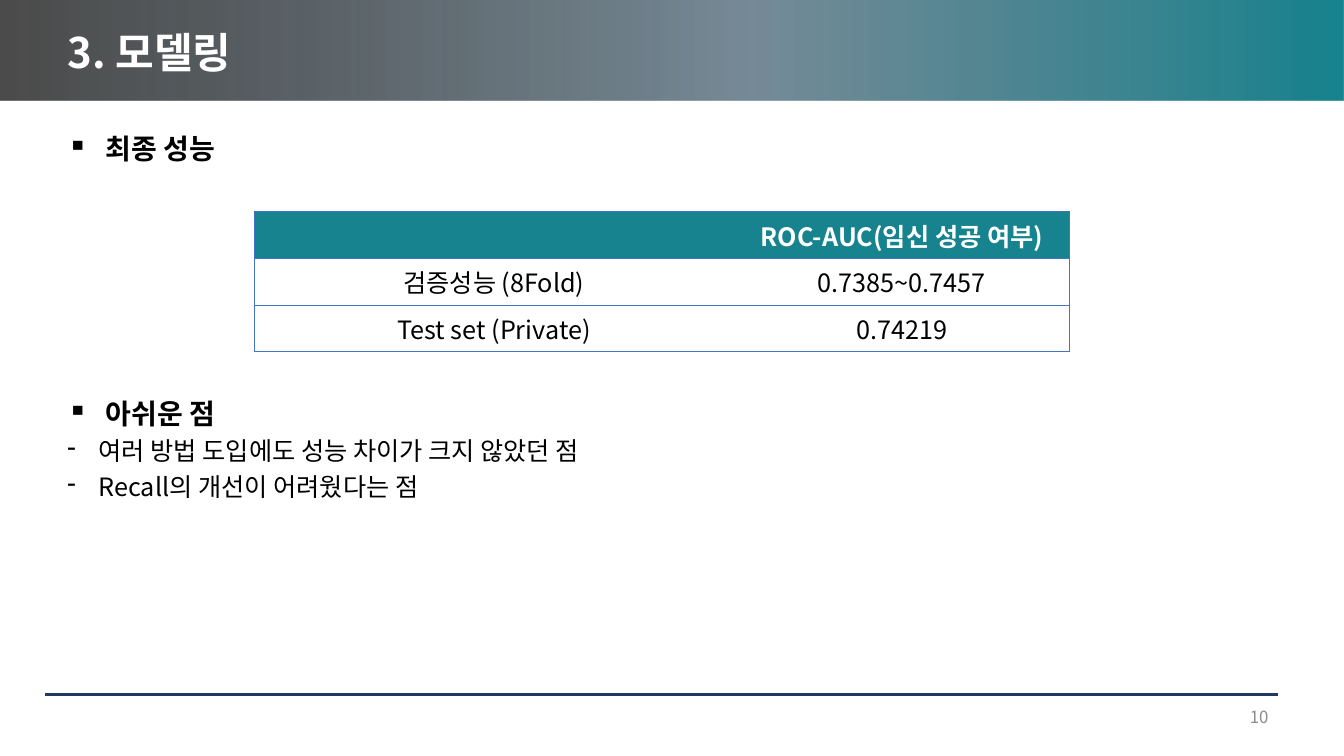
from dataclasses import dataclass

from lxml import etree
from pptx import Presentation
from pptx.dml.color import RGBColor
from pptx.enum.shapes import MSO_CONNECTOR, MSO_SHAPE
from pptx.enum.text import MSO_ANCHOR, MSO_AUTO_SIZE, PP_ALIGN
from pptx.oxml.ns import qn
from pptx.util import Inches, Pt

RECTANGLE = MSO_SHAPE.RECTANGLE
STRAIGHT = MSO_CONNECTOR.STRAIGHT
LEFT, CENTER, RIGHT = PP_ALIGN.LEFT, PP_ALIGN.CENTER, PP_ALIGN.RIGHT
TOP, MIDDLE = MSO_ANCHOR.TOP, MSO_ANCHOR.MIDDLE
NO_AUTOFIT = MSO_AUTO_SIZE.NONE
TITLE_ONLY = 5


@dataclass(frozen=True)
class Theme:
    font: str = "Noto Sans CJK KR"
    white: str = "FFFFFF"
    text: str = "000000"
    muted: str = "8C8C8C"
    accent: str = "16838E"
    rule: str = "203864"
    border: str = "4472C4"
    # Position, colour and opacity, each position and opacity in percent
    band: tuple = ((0, "000000", 70), (56, "556E7E", 80), (100, "16838E", 100))
    title_size: int = 30
    heading_size: int = 20
    body_size: int = 18
    number_size: int = 12
    line_spacing: float = 0.9
    space_before: int = 6


def add_element(parent, tag, **attributes):
    element = etree.SubElement(parent, qn(tag))
    for name, value in attributes.items():
        element.set(name, str(value))
    return element


def write_text(paragraph, text, *, font, size, color, bold=False, align=LEFT):
    paragraph.alignment = align
    run = paragraph.add_run()
    run.text = text
    run.font.name = font
    run.font.size = Pt(size)
    run.font.bold = bold
    run.font.color.rgb = RGBColor.from_string(color)
    add_element(run.font._element, "a:ea", typeface=font)


class SlideBuilder:
    def __init__(self, presentation, theme):
        self.theme = theme
        self.slide = presentation.slides.add_slide(presentation.slide_layouts[TITLE_ONLY])
        self.shapes = self.slide.shapes

    def prepare_frame(self, shape, anchor):
        frame = shape.text_frame
        frame.word_wrap = True
        frame.auto_size = NO_AUTOFIT
        frame.vertical_anchor = anchor
        return frame

    def band(self, left, top, width, height):
        shape = self.shapes.add_shape(
            RECTANGLE, Inches(left), Inches(top), Inches(width), Inches(height))
        shape.shadow.inherit = False
        shape.line.fill.background()
        shape.fill.gradient()
        shape.fill.gradient_angle = 0
        stops = shape._element.spPr.find(qn("a:gradFill")).find(qn("a:gsLst"))
        for stop in list(stops):
            stops.remove(stop)
        for position, color, opacity in self.theme.band:
            stop = add_element(stops, "a:gs", pos=position * 1000)
            fill = add_element(stop, "a:srgbClr", val=color)
            add_element(fill, "a:alpha", val=opacity * 1000)

    def title(self, text, left, top, width, height):
        shape = self.shapes.title
        shape.left, shape.top = Inches(left), Inches(top)
        shape.width, shape.height = Inches(width), Inches(height)
        # Bring the title in front of the band
        self.shapes._spTree.append(shape._element)
        paragraph = self.prepare_frame(shape, MIDDLE).paragraphs[0]
        paragraph.line_spacing = self.theme.line_spacing
        write_text(paragraph, text, font=self.theme.font, size=self.theme.title_size,
                   color=self.theme.white, bold=True)

    def rule(self, left, right, y):
        line = self.shapes.add_connector(
            STRAIGHT, Inches(left), Inches(y), Inches(right), Inches(y))
        line.line.color.rgb = RGBColor.from_string(self.theme.rule)
        line.line.width = Pt(1.5)
        add_element(line._element.spPr, "a:effectLst")

    def text_box(self, left, top, width, height, anchor=TOP):
        shape = self.shapes.add_textbox(
            Inches(left), Inches(top), Inches(width), Inches(height))
        return self.prepare_frame(shape, anchor)

    def page_number(self, text, left, top, width, height):
        frame = self.text_box(left, top, width, height, MIDDLE)
        write_text(frame.paragraphs[0], text, font=self.theme.font,
                   size=self.theme.number_size, color=self.theme.muted, align=RIGHT)

    def section(self, heading, points, left, top, width, height):
        frame = self.text_box(left, top, width, height)
        self.bullet(frame.paragraphs[0], heading, "▪", 0.38, self.theme.heading_size, True)
        for point in points:
            paragraph = frame.add_paragraph()
            paragraph.space_before = Pt(self.theme.space_before)
            self.bullet(paragraph, point, "-", 0.31, self.theme.body_size, False)

    def bullet(self, paragraph, text, mark, indent, size, bold):
        paragraph.line_spacing = self.theme.line_spacing
        properties = paragraph._p.get_or_add_pPr()
        properties.set("marL", str(Inches(indent)))
        properties.set("indent", str(-Inches(indent)))
        add_element(properties, "a:buChar", char=mark)
        write_text(paragraph, text, font=self.theme.font, size=size,
                   color=self.theme.text, bold=bold)

    def table(self, rows, left, top, column_widths, row_height):
        table = self.shapes.add_table(
            len(rows), len(column_widths), Inches(left), Inches(top),
            Inches(sum(column_widths)), Inches(row_height * len(rows))).table
        table.horz_banding = False
        for column, width in zip(table.columns, column_widths):
            column.width = Inches(width)
        for row_index, values in enumerate(rows):
            table.rows[row_index].height = Inches(row_height)
            for column_index, value in enumerate(values):
                outer_side = "a:lnL" if column_index == 0 else "a:lnR"
                self.cell(table.cell(row_index, column_index), value,
                          row_index == 0, outer_side)

    def cell(self, cell, value, is_header, outer_side):
        cell.vertical_anchor = MIDDLE
        properties = cell._tc.get_or_add_tcPr()
        for side in ("a:lnL", "a:lnR", "a:lnT", "a:lnB"):
            border = add_element(properties, side, w=Pt(0.5))
            if side in (outer_side, "a:lnT", "a:lnB"):
                fill = add_element(border, "a:solidFill")
                add_element(fill, "a:srgbClr", val=self.theme.border)
            else:
                add_element(border, "a:noFill")
        if is_header:
            cell.fill.solid()
            cell.fill.fore_color.rgb = RGBColor.from_string(self.theme.accent)
        else:
            cell.fill.background()
        if value:
            write_text(cell.text_frame.paragraphs[0], value, font=self.theme.font,
                       size=self.theme.body_size, bold=is_header, align=CENTER,
                       color=self.theme.white if is_header else self.theme.text)


def main():
    presentation = Presentation()
    presentation.slide_width = Inches(13.33)
    presentation.slide_height = Inches(7.5)
    builder = SlideBuilder(presentation, Theme())

    # Header and footer
    builder.band(0, 0, 13.33, 1)
    builder.title("3. 모델링", 0.57, 0.28, 8.76, 0.53)
    builder.rule(0.45, 12.68, 6.89)
    builder.page_number("10", 11.19, 6.91, 1.49, 0.4)

    # Final performance
    builder.section("최종 성능", [], 0.57, 1.29, 11.99, 0.5)
    scores = [
        ("", "ROC-AUC(임신 성공 여부)"),
        ("검증성능 (8Fold)", "0.7385~0.7457"),
        ("Test set (Private)", "0.74219"),
    ]
    builder.table(scores, 2.52, 2.1, (4.76, 3.33), 0.46)

    # Shortcomings
    shortcomings = ["여러 방법 도입에도 성능 차이가 크지 않았던 점", "Recall의 개선이 어려웠다는 점"]
    builder.section("아쉬운 점", shortcomings, 0.57, 3.92, 11.99, 1.4)

    presentation.save("out.pptx")


if __name__ == "__main__":
    main()
